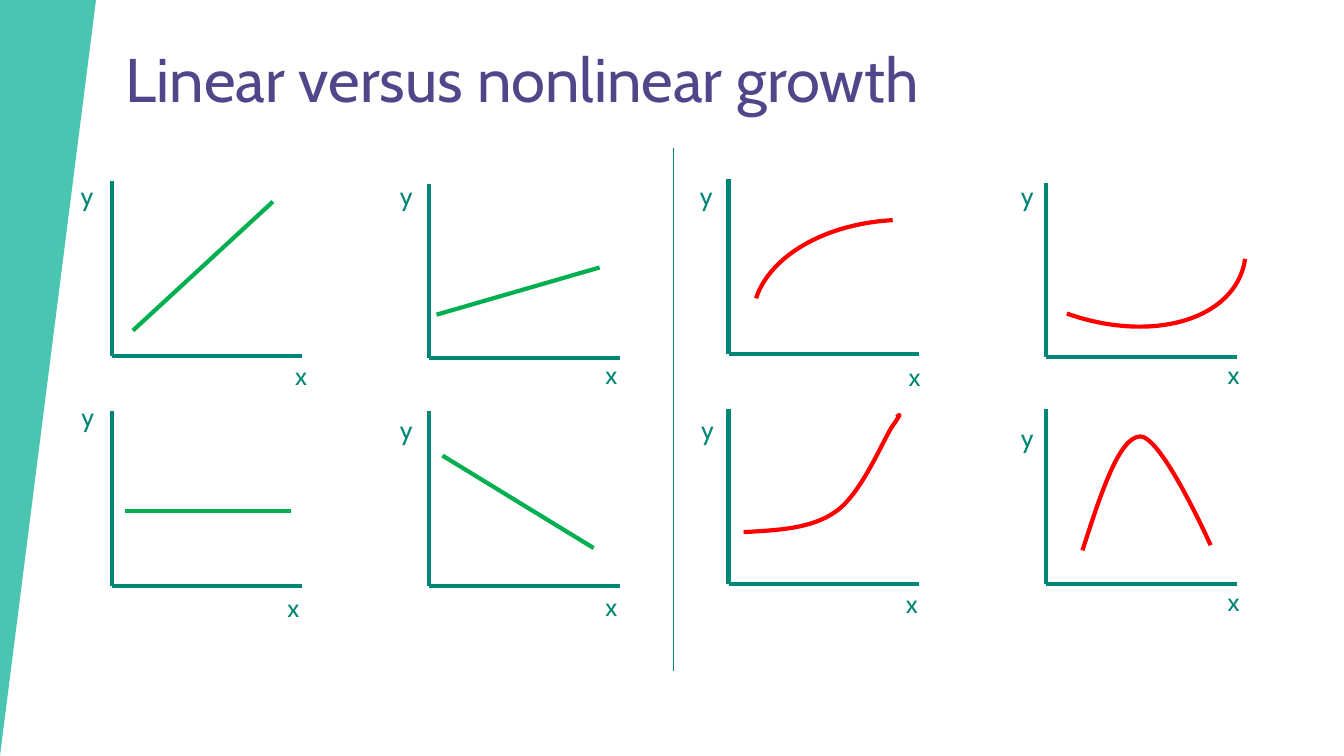
from lxml.etree import SubElement
from pptx import Presentation
from pptx.dml.color import RGBColor
from pptx.enum.shapes import MSO_CONNECTOR, MSO_SHAPE
from pptx.oxml.ns import qn
from pptx.util import Cm, Pt

TEAL, GREEN, RED = "008675", "00B050", "FF0000"
AXIS_W, AXIS_H = 4.8, 4.4
COLUMNS = (2.82, 10.82, 18.36, 26.37)

# Each panel: top, x label offset, y label offset, kind of curve, curve data
PANELS = (
    (
        (4.57, (4.37, 4.39), (-1.04, -0.15), "line", (0.53, 3.76, 4.06, 0.51)),
        (4.63, (4.19, 4.29), (-0.99, -0.2), "line", (0.18, 3.3, 4.29, 2.11)),
        (4.52, (4.29, 4.47), (-0.97, -0.1), "arc", (0.61, 1.02, 112.73, 157.59, 0)),
        (4.6, (4.32, 4.32), (-0.89, -0.18), "arc", (-2.54, -1.57, 104.77, 160.88, 200.4)),
    ),
    (
        (10.36, (4.17, 4.45), (-1.02, -0.36), "line", (0.33, 2.51, 4.52, 2.51)),
        (10.36, (4.19, 4.42), (-0.99, -0.05), "line", (0.33, 1.12, 4.14, 3.45)),
        (10.31, (4.22, 4.39), (-0.94, 0), "bezier", (
            (0.38, 3.1), (1.22, 3.05), (2.08, 3.02), (2.69, 2.59), (3.33, 2.16),
            (3.86, 0.86), (4.11, 0.46), (4.39, 0.05), (4.32, 0.13), (4.24, 0.2))),
        (10.31, (4.32, 4.34), (-0.89, 0.2), "bezier", (
            (0.91, 3.56), (1.37, 2.13), (1.83, 0.71), (2.36, 0.69),
            (2.9, 0.66), (4.14, 3.43), (4.14, 3.43))),
    ),
)


def rgb(color):
    """Turn a hex string into a colour."""
    return RGBColor.from_string(color)


def add_line(slide, x1, y1, x2, y2, color, width=3):
    """Draw a straight line without a shadow."""
    line = slide.shapes.add_connector(
        MSO_CONNECTOR.STRAIGHT, Cm(x1), Cm(y1), Cm(x2), Cm(y2))
    line.line.color.rgb = rgb(color)
    line.line.width = Pt(width)
    SubElement(line._element.spPr, qn("a:effectLst"))


def add_text(slide, x, y, w, h, text, size, color, wrap=False):
    """Write one paragraph in a text box."""
    tf = slide.shapes.add_textbox(Cm(x), Cm(y), Cm(w), Cm(h)).text_frame
    tf.word_wrap = wrap
    p = tf.paragraphs[0]
    p.text = text
    p.font.name = "Cabin"
    p.font.size = Pt(size)
    p.font.color.rgb = rgb(color)
    return p


def style_curve(sp):
    """Give an open curve its red outline."""
    sp.shadow.inherit = False
    sp.fill.background()
    sp.line.color.rgb = rgb(RED)
    sp.line.width = Pt(3)


def add_arc(slide, x, y, start, end, rotation):
    """Draw part of an ellipse."""
    sp = slide.shapes.add_shape(MSO_SHAPE.ARC, Cm(x), Cm(y), Cm(7.7), Cm(5))
    sp.adjustments[0] = start
    sp.adjustments[1] = end
    sp.rotation = rotation
    style_curve(sp)


def add_bezier(slide, x, y, points):
    """Draw cubic curves through a start point and triples of points."""
    start, *rest = [(Cm(x + px), Cm(y + py)) for px, py in points]
    builder = slide.shapes.build_freeform(*start)
    builder.add_line_segments(rest, close=False)
    sp = builder.convert_to_shape()
    segments = list(sp._element.iter(qn("a:lnTo")))
    for i in range(0, len(segments), 3):
        curve = segments[i]
        curve.tag = qn("a:cubicBezTo")
        for extra in segments[i + 1:i + 3]:
            curve.append(extra[0])
            extra.getparent().remove(extra)
    style_curve(sp)


def add_panel(slide, x, y, x_label, y_label, kind, data):
    """Draw one small graph with its axes, labels and curve."""
    bottom = y + AXIS_H
    add_line(slide, x, y, x, bottom, TEAL)
    add_line(slide, x + AXIS_W, bottom, x, bottom, TEAL)
    for text, (dx, dy) in (("x", x_label), ("y", y_label)):
        add_text(slide, x + dx, y + dy, 0.84, 1.02, text, 18, TEAL)
    if kind == "line":
        x1, y1, x2, y2 = data
        add_line(slide, x + x1, y + y1, x + x2, y + y2, GREEN)
    elif kind == "arc":
        dx, dy, start, end, rotation = data
        add_arc(slide, x + dx, y + dy, start, end, rotation)
    else:
        add_bezier(slide, x, y, data)


def add_side_wedge(slide, w, h):
    """Draw the wedge down the left edge."""
    sp = slide.shapes.add_shape(MSO_SHAPE.RIGHT_TRIANGLE, 0, 0, Cm(w), Cm(h))
    sp.rotation = 180
    sp._element.spPr.find(qn("a:xfrm")).set("flipH", "1")
    sp.shadow.inherit = False
    sp.fill.solid()
    sp.fill.fore_color.rgb = rgb("49C5B1")
    sp.line.fill.background()


def main():
    """Build the slide and save it."""
    prs = Presentation()
    prs.slide_width, prs.slide_height = Cm(33.87), Cm(19.05)
    slide = prs.slides.add_slide(prs.slide_layouts[6])
    add_side_wedge(slide, 2.42, 19.05)
    title = add_text(slide, 2.92, 1.12, 29.21, 3.68,
                     "Linear versus nonlinear growth", 44, "514689", wrap=True)
    title.line_spacing = 0.9
    for row in PANELS:
        for x, panel in zip(COLUMNS, row):
            add_panel(slide, x, *panel)
    add_line(slide, 16.97, 3.73, 16.97, 16.92, TEAL, 0.5)
    prs.save("out.pptx")


if __name__ == "__main__":
    main()
